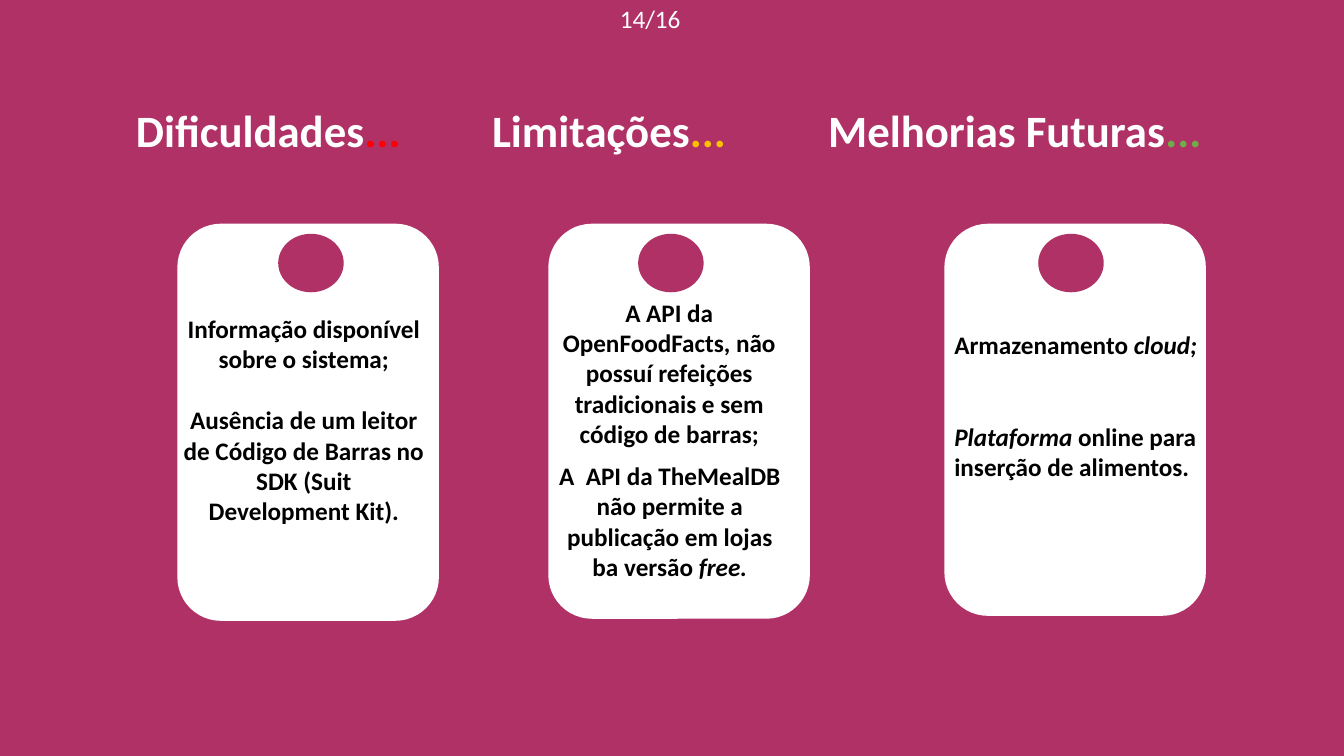
from lxml import etree
from pptx import Presentation
from pptx.dml.color import RGBColor
from pptx.enum import shapes, text
from pptx.oxml.ns import qn
from pptx.util import Pt

BACKGROUND, WHITE, BLACK = "B03166", "FFFFFF", "000000"
LEFT, CENTER = text.PP_ALIGN.LEFT, text.PP_ALIGN.CENTER


def color(hex_string):
    return RGBColor.from_string(hex_string)


def add_text(box, paragraphs, size, align, gap=0, wrap=True, bold=True):
    """Fill a new text box; each paragraph is a list of (text, color, italic)."""
    left, top, width, height = box
    shape = slide.shapes.add_textbox(Pt(left), Pt(top), Pt(width), Pt(height))
    frame = shape.text_frame
    frame.word_wrap = wrap
    frame.auto_size = text.MSO_AUTO_SIZE.SHAPE_TO_FIT_TEXT
    for index, runs in enumerate(paragraphs):
        paragraph = frame.add_paragraph() if index else frame.paragraphs[0]
        paragraph.alignment = align
        if index and gap:
            paragraph.space_before = Pt(gap)
        for content, run_color, italic in runs:
            run = paragraph.add_run()
            run.text = content
            run.font.name, run.font.size = "Calibri", Pt(size)
            run.font.bold, run.font.italic = bold, italic
            run.font.color.rgb = color(run_color)
    return shape


presentation = Presentation()
presentation.slide_width, presentation.slide_height = Pt(960), Pt(540)
slide = presentation.slides.add_slide(presentation.slide_layouts[6])
slide.background.fill.solid()
slide.background.fill.fore_color.rgb = color(BACKGROUND)

# Headings in one line, set apart by tab stops
headings = [("Dificuldades", "FF0000"), ("\tLimitações", "FFC000"),
            ("\tMelhorias Futuras", "70AD47")]
heading_runs = []
for title, dots_color in headings:
    heading_runs += [(title, WHITE, False), ("...", dots_color, False)]
heading = add_text((0, 69.8, 958.3, 46), [heading_runs], 32, LEFT)
heading.text_frame.margin_left = Pt(97)
properties = heading.text_frame.paragraphs[0]._p.get_or_add_pPr()
tab_list = etree.SubElement(properties, qn("a:tabLst"))
for position in (254.5, 494.5):
    etree.SubElement(tab_list, qn("a:tab"), pos=str(Pt(position)), algn="l")

# Tags: card left, card height, hole left
for card_left, card_height, hole_left in [
        (126.7, 283.7, 198.7), (391.7, 282.2, 455.8), (674.6, 280.1, 741.6)]:
    for kind, box, fill in [
            (shapes.MSO_SHAPE.ROUNDED_RECTANGLE, (card_left, 159.8, 186.8, card_height), WHITE),
            (shapes.MSO_SHAPE.OVAL, (hole_left, 167, 46.8, 41.8), BACKGROUND)]:
        shape = slide.shapes.add_shape(kind, *map(Pt, box))
        shape.shadow.inherit = False
        shape.fill.solid()
        shape.fill.fore_color.rgb = color(fill)
        shape.line.fill.background()

# Tag texts
add_text((123.8, 220.3, 186.5, 160),
         [[("Informação disponível sobre o sistema;", BLACK, False)],
          [("Ausência de um leitor de Código de Barras no SDK (Suit Development Kit).",
            BLACK, False)]], 18, CENTER, gap=22)
add_text((391.7, 208.8, 172.8, 116.6),
         [[("A API da OpenFoodFacts, não possuí refeições tradicionais e sem "
            "código de barras;", BLACK, False)]], 18, CENTER)
add_text((391, 325.4, 175, 94.3),
         [[("A  API da TheMealDB não permite a publicação em lojas ba versão ",
            BLACK, False), ("free.", BLACK, True)]], 18, CENTER)
add_text((674.6, 231.8, 216, 116.6),
         [[("Armazenamento ", BLACK, False), ("cloud;", BLACK, True)],
          [("Plataforma ", BLACK, True),
           ("online para inserção de alimentos.", BLACK, False)]], 18, LEFT, gap=44)

# Page number
add_text((435.6, -1.4, 58.3, 29), [[("14/16", WHITE, False)]], 18, LEFT,
         wrap=False, bold=False)

presentation.save("out.pptx")
